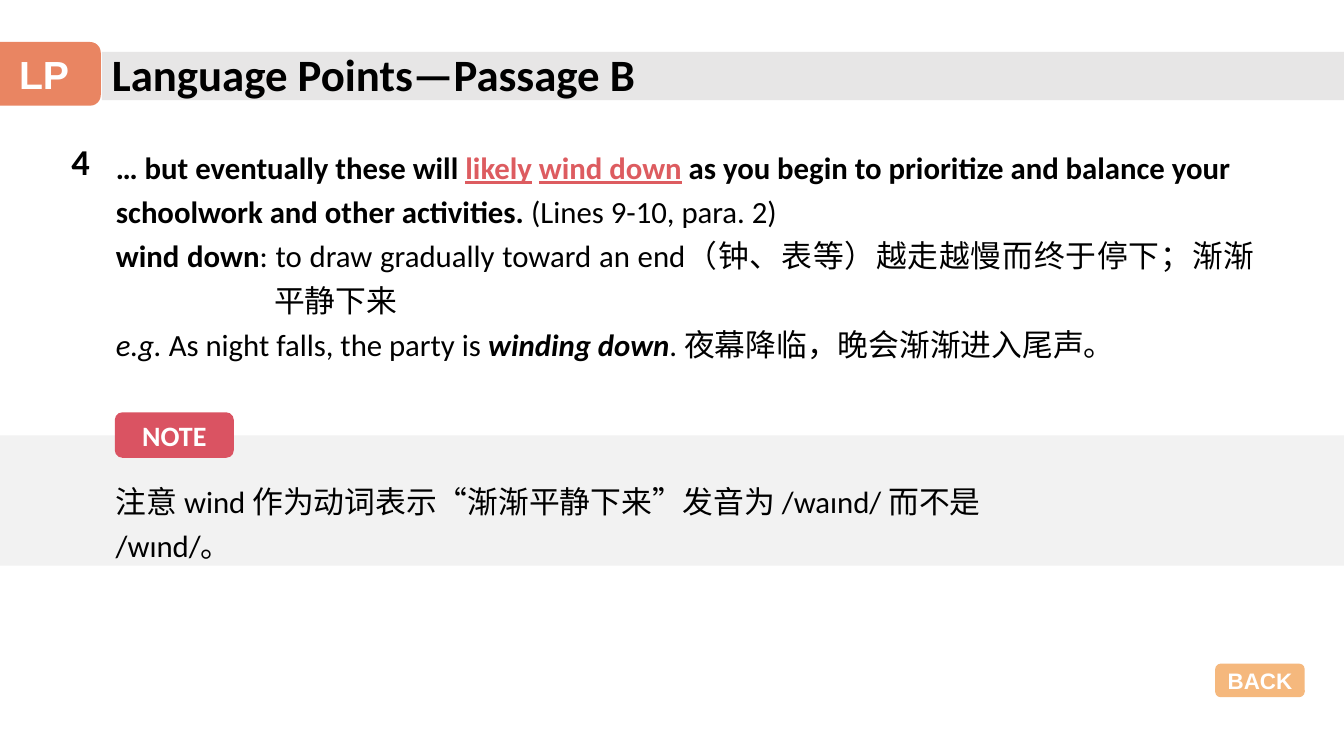
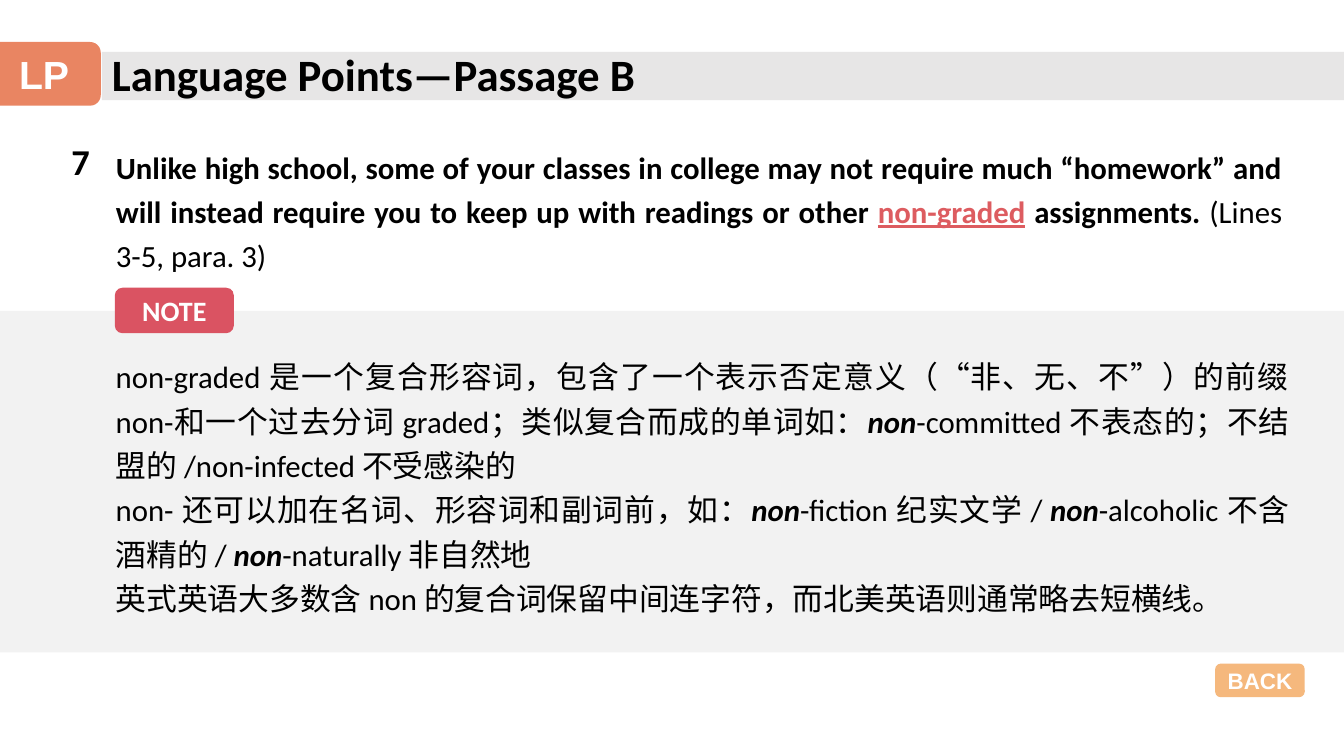
from lxml import etree
from pptx import Presentation
from pptx.dml.color import RGBColor
from pptx.enum.shapes import MSO_SHAPE
from pptx.enum.text import MSO_ANCHOR, MSO_AUTO_SIZE, PP_ALIGN
from pptx.oxml.ns import qn
from pptx.util import Pt

RECT, ROUND = MSO_SHAPE.RECTANGLE, MSO_SHAPE.ROUNDED_RECTANGLE
TOP, MIDDLE = MSO_ANCHOR.TOP, MSO_ANCHOR.MIDDLE
LEFT, CENTER, JUSTIFY = PP_ALIGN.LEFT, PP_ALIGN.CENTER, PP_ALIGN.JUSTIFY
NO_FIT = MSO_AUTO_SIZE.NONE
rgb = RGBColor.from_string

BLACK, WHITE = "000000", "FFFFFF"
KEYWORD, NOTE_RED = "DD5C60", "DA5362"
ORANGE, LIGHT_ORANGE = "E98562", "F5B87D"
BAR_GRAY, BAND_GRAY = "E7E6E6", "F2F2F2"
WIDTH, HEIGHT = 960, 540
TEXT_LEFT = 75.6


def write(tf, paragraphs, size, color=BLACK, font="Calibri", align=LEFT,
          spacing=1.0, anchor=TOP):
    """Each paragraph is a list of (text, style); style: b bold, i italic, u keyword.
    A leading number in the list is the paragraph's hanging indent."""
    tf.word_wrap, tf.auto_size, tf.vertical_anchor = True, NO_FIT, anchor
    for n, runs in enumerate(paragraphs):
        p = tf.add_paragraph() if n else tf.paragraphs[0]
        p.alignment, p.line_spacing, p.space_before = align, spacing, Pt(0)
        hang = 0
        if not isinstance(runs[0], tuple):
            hang, runs = runs[0], runs[1:]
        pPr = p._p.get_or_add_pPr()
        pPr.set("marL", str(Pt(hang)))
        pPr.set("indent", str(Pt(-hang)))
        etree.SubElement(pPr, qn("a:buNone"))
        for text, style in runs:
            r = p.add_run()
            r.text = text
            r.font.name, r.font.size = font, Pt(size)
            r.font.bold, r.font.italic = "b" in style, "i" in style
            r.font.underline = "u" in style
            r.font.color.rgb = rgb(KEYWORD if "u" in style else color)


def add_block(s, kind, x, y, w, h, fill, label="", size=20, font="Calibri"):
    sp = s.shapes.add_shape(kind, Pt(x), Pt(y), Pt(w), Pt(h))
    sp.shadow.inherit = False
    sp.fill.solid()
    sp.fill.fore_color.rgb = rgb(fill)
    sp.line.fill.background()
    if label:
        write(sp.text_frame, [[(label, "b")]], size, WHITE, font, CENTER, anchor=MIDDLE)
    return sp


pages = [
    {
        "number": "4",
        "band": (311, 93),
        "body_size": (828, 167),
        "body": [
            [("… but eventually these will ", "b"), ("likely", "bu"), (" ", ""),
             ("wind down", "bu"),
             (" as you begin to prioritize and balance your ", "b")],
            [("schoolwork and other activities. ", "b"), ("(Lines 9-10, para. 2) ", "")],
            [113, ("wind down", "b"),
             (": to draw gradually toward an end（钟、表等）越走越慢而终于停下；渐渐平静下来", "")],
            [("e.g.", "i"), (" As night falls, the party is ", ""),
             ("winding down", "bi"), (". 夜幕降临，晚会渐渐进入尾声。", "")],
        ],
        "note_size": (703, 66),
        "note_align": LEFT,
        "note": [
            [("注意 wind 作为动词表示“渐渐平静下来”发音为 /waɪnd/ 而不是 /wɪnd/。", "")],
        ],
    },
    {
        "number": "7",
        "band": (222, 244),
        "body_size": (847.4, 104),
        "body": [
            [("Unlike high school, some of your classes in college may not require much "
              "“homework” and will instead require you to keep up with readings or other ", "b"),
             ("non-graded", "bu"), (" assignments. ", "b"), ("(Lines 3-5, para. 3)", "")],
        ],
        "note_size": (852.5, 197),
        "note_align": JUSTIFY,
        "note": [
            [("non-graded 是一个复合形容词，包含了一个表示否定意义（“非、无、不”）的前缀 "
              "non-和一个过去分词 graded；类似复合而成的单词如：", ""),
             ("non", "bi"), ("-committed 不表态的；不结盟的 /non-infected 不受感染的", "")],
            [("non- 还可以加在名词、形容词和副词前，如：", ""),
             ("non", "bi"), ("-fiction 纪实文学 / ", ""),
             ("non", "bi"), ("-alcoholic 不含酒精的 / ", ""),
             ("non", "bi"), ("-naturally 非自然地", "")],
            [("英式英语大多数含 non 的复合词保留中间连字符，而北美英语则通常略去短横线。", "")],
        ],
    },
]

prs = Presentation()
prs.slide_width, prs.slide_height = Pt(WIDTH), Pt(HEIGHT)
layout = prs.slide_layouts[1]
slides = [prs.slides.add_slide(layout) for _ in pages]

# Shared title bar, section tab and back button, moved to the layout
shared = [
    add_block(slides[0], RECT, 72.7, 37, WIDTH - 72.7, 34.5, BAR_GRAY),
    add_block(slides[0], ROUND, -9, 30, 81, 45.5, ORANGE, "LP", 28, "Arial"),
    add_block(slides[0], ROUND, 868, 474, 64, 24, LIGHT_ORANGE, "BACK", 16, "Arial"),
]
for shape_id, sp in enumerate(shared, start=20):
    sp.element.nvSpPr.cNvPr.set("id", str(shape_id))
    layout.shapes.element.append(sp.element)

for s, page in zip(slides, pages):
    # Title
    title, body = s.placeholders
    title.left, title.top, title.width, title.height = Pt(72.7), Pt(29.5), Pt(411), Pt(46)
    write(title.text_frame, [[("Language Points—Passage B", "b")]], 32)

    # Numbered sentence
    number = s.shapes.add_textbox(Pt(44), Pt(95.8), Pt(45), Pt(39))
    write(number.text_frame, [[(page["number"], "b")]], 26)
    body_w, body_h = page["body_size"]
    body.left, body.top, body.width, body.height = Pt(TEXT_LEFT), Pt(97.2), Pt(body_w), Pt(body_h)
    write(body.text_frame, page["body"], 22, align=JUSTIFY, spacing=1.2)

    # Note band with its tag and text
    band_top, band_h = page["band"]
    add_block(s, RECT, 0, band_top, WIDTH, band_h, BAND_GRAY)
    add_block(s, ROUND, 82, band_top - 16.5, 85, 32.5, NOTE_RED, "NOTE")
    note_w, note_h = page["note_size"]
    note = s.shapes.add_textbox(Pt(TEXT_LEFT), Pt(band_top + 25), Pt(note_w), Pt(note_h))
    write(note.text_frame, page["note"], 22, align=page["note_align"], spacing=1.2)

prs.save("out.pptx")
